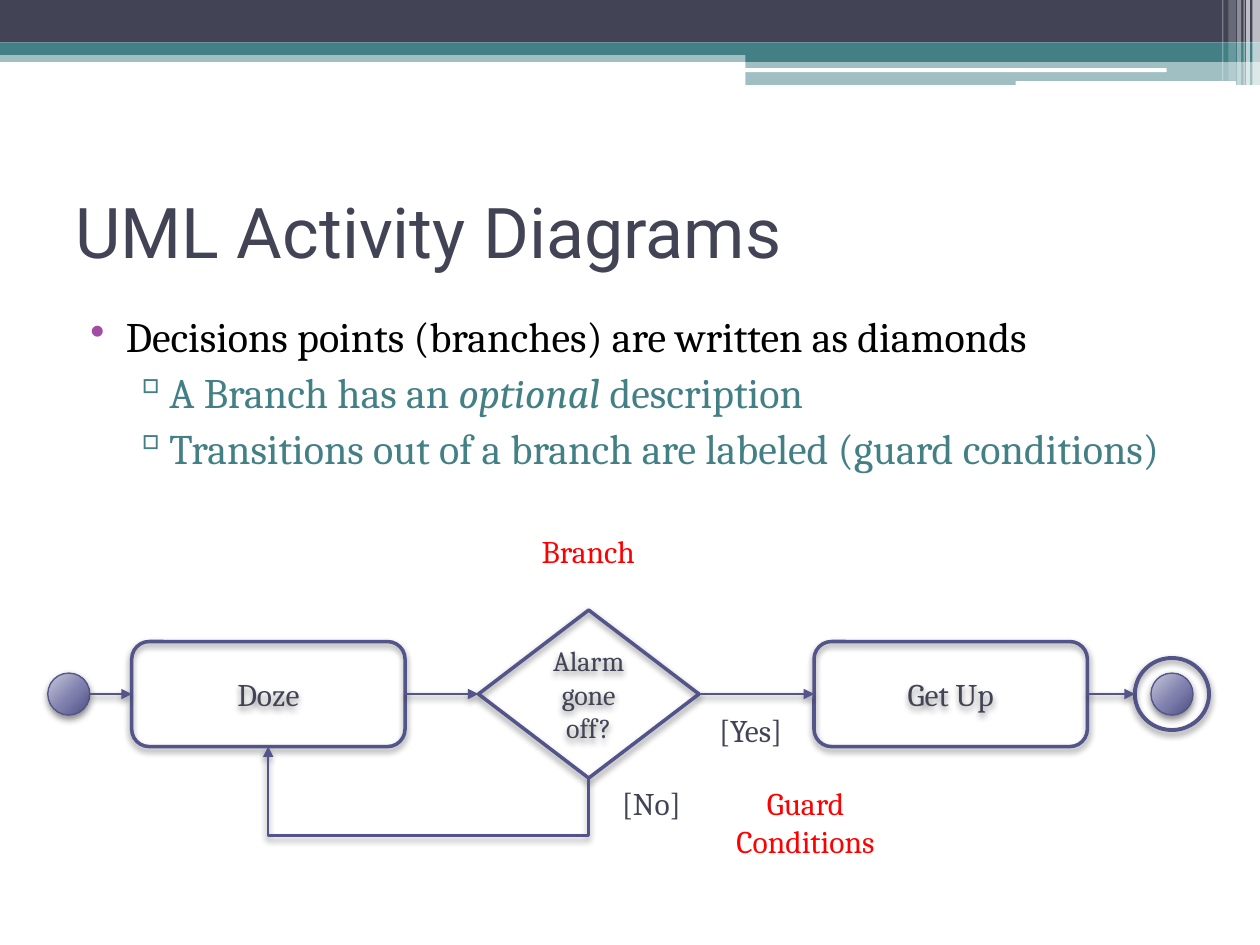
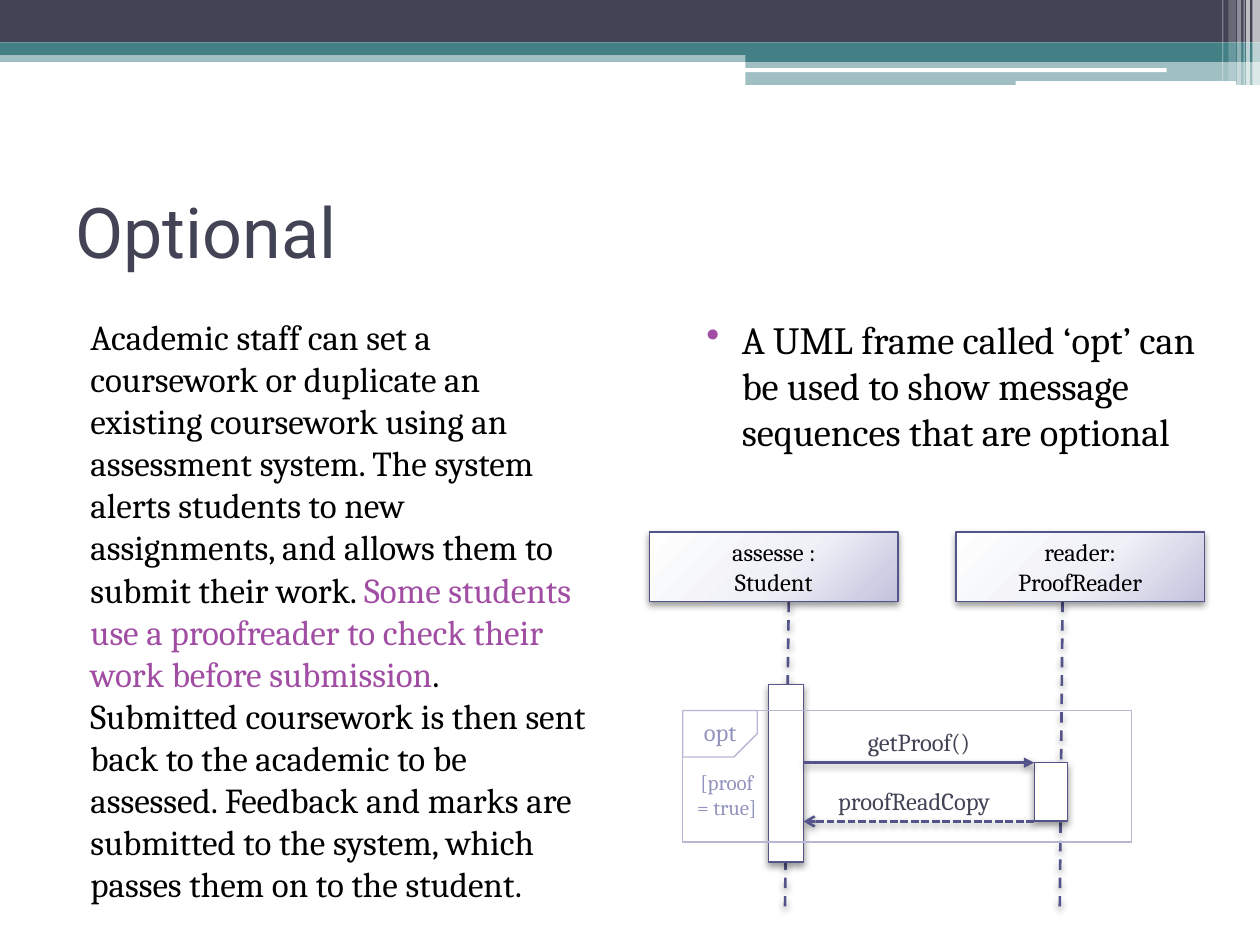
from lxml.etree import SubElement
from pptx import Presentation
from pptx.dml.color import RGBColor
from pptx.enum.dml import MSO_LINE
from pptx.enum.shapes import MSO_CONNECTOR, MSO_SHAPE
from pptx.enum.text import MSO_ANCHOR, MSO_AUTO_SIZE, PP_ALIGN
from pptx.oxml import parse_xml
from pptx.oxml.ns import nsdecls, qn
from pptx.util import Pt

rgb = RGBColor.from_string
SLATE, TEAL, INDIGO, PURPLE = "424456", "438086", "53548A", "A04DA3"
WHITE, BLACK, RED = "FFFFFF", "000000", "FF0000"
FRAME_LINE, FRAME_TEXT = "B7B7D4", "9394BE"
DARK_GLOSS = ("C9C9DA", "7F80AE", "4D4E81")
LIGHT_GLOSS = ("FEFEFE", "F0F1F7", "C2C2DD")
HEADING_FONT, BODY_FONT = "Roboto", "Cambria"
SHADOW = (
    f'<a:effectLst {nsdecls("a")}><a:outerShdw blurRad="50800" dist="25400" dir="5400000" '
    'rotWithShape="0"><a:srgbClr val="000000"><a:alpha val="{}000"/></a:srgbClr>'
    "</a:outerShdw></a:effectLst>"
)


def add_part(slide, kind, box, lines=(), size=18, color=SLATE,
             fill=None, alpha=None, line=None, width=0.75, shadow=None):
    """Add a shape, or a text box if kind is None; a tuple as fill is a radial gradient."""
    place = [Pt(length) for length in box]
    if kind is None:
        part = slide.shapes.add_textbox(*place)
    else:
        part = slide.shapes.add_shape(kind, *place)
        properties = part._element.spPr
        if isinstance(fill, str):
            part.fill.solid()
            part.fill.fore_color.rgb = rgb(fill)
            if alpha:
                tint = properties.find(".//" + qn("a:srgbClr"))
                SubElement(tint, qn("a:alpha"), val=str(alpha * 1000))
        else:
            part.fill.background()
        if isinstance(fill, tuple):
            stops = "".join(
                f'<a:gs pos="{pos}000"><a:srgbClr val="{stop}"/></a:gs>'
                for pos, stop in zip((0, 55, 100), fill))
            properties.replace(properties.find(qn("a:noFill")), parse_xml(
                f'<a:gradFill {nsdecls("a")} rotWithShape="1"><a:gsLst>{stops}</a:gsLst>'
                '<a:path path="circle"><a:fillToRect l="-40000" t="-90000" '
                'r="140000" b="190000"/></a:path></a:gradFill>'))
        if line:
            part.line.color.rgb = rgb(line)
            part.line.width = Pt(width)
        else:
            part.line.fill.background()
        if shadow:
            properties.append(parse_xml(SHADOW.format(shadow)))
        else:
            part.shadow.inherit = False
    if lines:
        frame = part.text_frame
        frame.word_wrap = True
        frame.text = "\n".join(lines)
        for paragraph in frame.paragraphs:
            paragraph.alignment = PP_ALIGN.CENTER
            paragraph.font.name = BODY_FONT
            paragraph.font.size = Pt(size)
            paragraph.font.color.rgb = rgb(color)
    return part


def add_line(slide, start, end, head=None, dash=None, kind=MSO_CONNECTOR.STRAIGHT):
    connector = slide.shapes.add_connector(kind, *(Pt(v) for v in (*start, *end)))
    connector.line.color.rgb = rgb(INDIGO)
    connector.line.width = Pt(1.5)
    if dash:
        connector.line.dash_style = dash
    properties = connector._element.spPr
    if head:
        SubElement(properties.find(qn("a:ln")), qn("a:tailEnd"), type=head)
    properties.append(parse_xml(SHADOW.format(40)))
    return connector


deck = Presentation()
deck.slide_width, deck.slide_height = Pt(720), Pt(540)
layout = deck.slide_layouts[5]

# Titles
slides = []
for heading in ("UML Activity Diagrams", "Optional"):
    slide = deck.slides.add_slide(layout)
    slides.append(slide)
    title = slide.shapes.title
    title.left, title.top, title.width, title.height = Pt(36), Pt(90), Pt(648), Pt(84)
    title.text = heading
    title.text_frame.auto_size = MSO_AUTO_SIZE.NONE
    title.text_frame.vertical_anchor = MSO_ANCHOR.MIDDLE
    paragraph = title.text_frame.paragraphs[0]
    paragraph.alignment = PP_ALIGN.LEFT
    paragraph.font.name = HEADING_FONT
    paragraph.font.size = Pt(40)
    paragraph.font.color.rgb = rgb(SLATE)
activity, optional = slides

# Header bands, moved to the layout that both slides share
RECT, ROUNDED = MSO_SHAPE.RECTANGLE, MSO_SHAPE.ROUNDED_RECTANGLE
bands = [
    (RECT, (0, 28.8, 720, 6.6), TEAL, 50),
    (RECT, (0, 0, 720, 24.2), SLATE, None),
    (RECT, (0, 24.2, 720, 7.2), TEAL, None),
    (RECT, (426, 28.2, 294, 7.2), TEAL, None),
    (RECT, (426, 35.4, 294, 13.2), TEAL, 50),
    (ROUNDED, (425.5, 39, 241.2, 2.2), WHITE, None),
    (ROUNDED, (580.3, 46.4, 126, 2.6), WHITE, None),
]
stripes = [
    (715.7, 4.3, 48.8, 65), (712.1, 2.2, 48.8, 65), (710.6, 0.7, 48.8, 60),
    (707, 2.2, 48.8, 40), (702, 4.3, 46.1, 20), (698.4, 0.7, 46.1, 30),
]
bands += [(RECT, (left, 0, width, height), WHITE, alpha)
          for left, width, height, alpha in stripes]
for kind, box, fill, alpha in bands:
    band = add_part(activity, kind, box, fill=fill, alpha=alpha)
    layout.shapes._spTree.append(band._element)

# Body text: size, left margin, indent, bullet, bullet colour, runs
bodies = [
    (activity, (36, 174.2, 684, 141), [
        (24, 28.8, -20.2, "•", PURPLE,
         [("Decisions points (branches) are written as diamonds", BLACK, False)]),
        (24, 51.8, -19.4, "▫", TEAL,
         [("A Branch has an ", TEAL, False), ("optional ", TEAL, True),
          ("description", TEAL, False)]),
        (24, 51.8, -19.4, "▫", TEAL,
         [("Transitions out of a branch are labeled (guard conditions)", TEAL, False)]),
    ]),
    (optional, (388, 177, 312.5, 340.5), [
        (22, 28.8, -20.2, "•", PURPLE,
         [("A UML frame called ‘opt’ can be used to show message sequences "
           "that are optional", BLACK, False)]),
    ]),
    (optional, (36, 177, 306.7, 340.5), [
        (20, 8.6, 0, None, None,
         [("Academic staff can set a coursework or duplicate an existing coursework "
           "using an assessment system. The system alerts students to new assignments, "
           "and allows them to submit their work. ", BLACK, False),
          ("Some students use a proofreader to check their work before submission",
           PURPLE, False),
          (". Submitted coursework is then sent back to the academic to be assessed. "
           "Feedback and marks are submitted to the system, which passes them on to "
           "the student.", BLACK, False)]),
    ]),
]
for slide, box, points in bodies:
    frame = add_part(slide, None, box).text_frame
    frame.word_wrap = True
    for number, (size, margin, indent, bullet, bullet_color, runs) in enumerate(points):
        paragraph = frame.add_paragraph() if number else frame.paragraphs[0]
        paragraph.space_before = Pt(3)
        indents = paragraph._p.get_or_add_pPr()
        indents.set("marL", str(Pt(margin)))
        indents.set("indent", str(Pt(indent)))
        if bullet:
            tint = SubElement(indents, qn("a:buClr"))
            SubElement(tint, qn("a:srgbClr"), val=bullet_color)
            SubElement(indents, qn("a:buChar"), char=bullet)
        paragraph.font.name = BODY_FONT
        paragraph.font.size = Pt(size)
        for text, color, italic in runs:
            run = paragraph.add_run()
            run.text = text
            run.font.color.rgb = rgb(color)
            run.font.italic = italic

# Activity diagram
AXIS = 396.6
flow = []
for kind, left, width, height, lines, size, fill, weight in [
    (MSO_SHAPE.OVAL, 27.3, 24, 24, (), 18, DARK_GLOSS, 0.75),
    (ROUNDED, 75.3, 156.2, 60, ["Doze"], 18, None, 2),
    (MSO_SHAPE.DIAMOND, 273.4, 126, 96, ["Alarm gone off?"], 16, None, 2),
    (ROUNDED, 465.2, 156.2, 60, ["Get Up"], 18, None, 2),
    (MSO_SHAPE.OVAL, 648.5, 42.4, 41.2, (), 18, None, 2.25),
    (MSO_SHAPE.OVAL, 657.7, 24, 24, (), 18, DARK_GLOSS, 0.75),
]:
    flow.append(add_part(activity, kind, (left, AXIS - height / 2, width, height), lines,
                         size, fill=fill, line=INDIGO, width=weight, shadow=45))
end_ring = 4
for source, target in zip(flow[:end_ring], flow[1:]):
    add_line(activity, (source.left.pt + source.width.pt, AXIS), (target.left.pt, AXIS),
             "triangle")

# Loop from the branch back to Doze: an elbow turned by a quarter
loop_back = add_line(activity, (253.8, 344.1), (235.8, 527.1), "triangle",
                     kind=MSO_CONNECTOR.ELBOW)
loop_shape = loop_back._element.spPr
loop_shape.find(qn("a:xfrm")).set("rot", "5400000")
SubElement(loop_shape.find(".//" + qn("a:avLst")), qn("a:gd"), name="adj1", fmla="val -181700")

for label, color, box in [
    ("[Yes]", SLATE, (393, 402.5, 72, 28.8)),
    ("[No]", SLATE, (336.2, 444.5, 72, 28.8)),
    ("Branch", RED, (300.2, 300.5, 72, 28.8)),
    ("Guard Conditions", RED, (393, 444.5, 134.6, 51)),
]:
    add_part(activity, None, box, [label], color=color)

# Sequence diagram
add_part(optional, RECT, (388, 436.3, 54.7, 36), ["[proof", "= true]"], 12, FRAME_TEXT,
         fill=WHITE)
for left, lifeline_top, lifeline_foot, lines in [
    (546.2, 607.2, 605.6, ["reader:", "ProofReader"]),
    (371.2, 450.7, 448.6, ["assesse :", "Student"]),
]:
    add_line(optional, (lifeline_top, 343.8), (lifeline_foot, 518), dash=MSO_LINE.DASH)
    add_part(optional, RECT, (left, 304, 142, 39.8), lines, 14, BLACK,
             fill=LIGHT_GLOSS, line=INDIGO, shadow=40)
for activation in [(439, 391, 20.2, 101.6), (591, 435.7, 19, 33.5)]:
    add_part(optional, RECT, activation, fill=WHITE, line=INDIGO, shadow=40)

STUDENT_EDGE, READER_EDGE = 459.2, 591
for message, left, y, start, end, head, dash in [
    ("getProof()", 447.8, 435.8, STUDENT_EDGE, READER_EDGE, "triangle", None),
    ("proofReadCopy", 445, 469.4, READER_EDGE, STUDENT_EDGE, "arrow", MSO_LINE.SQUARE_DOT),
]:
    add_line(optional, (start, y), (end, y), head, dash)
    add_part(optional, None, (left, y - 23.8, 154.8, 24.5), [message], 14)

add_part(optional, RECT, (390.2, 406, 256.3, 75.2), line=FRAME_LINE)
opt_tab = add_part(optional, MSO_SHAPE.SNIP_1_RECTANGLE, (390.2, 406, 42.5, 26.6),
                   fill=WHITE, line=FRAME_LINE)
opt_tab.adjustments[0] = 0.5
opt_tab._element.spPr.find(qn("a:xfrm")).set("flipV", "1")
add_part(optional, None, (390.2, 406, 42.5, 24.5), ["opt"], 14, FRAME_TEXT)

deck.save("out.pptx")
